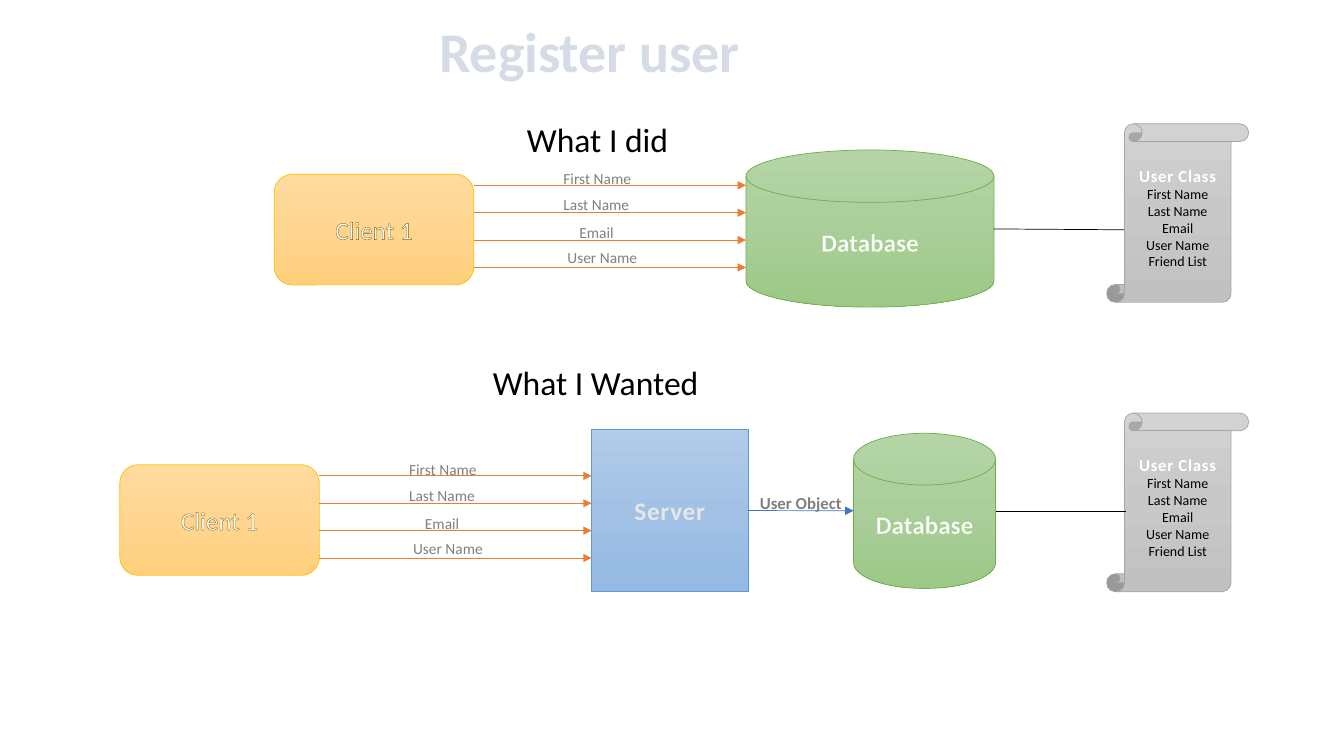
from copy import deepcopy
from dataclasses import dataclass

from lxml import etree
from pptx import Presentation
from pptx.dml.color import RGBColor
from pptx.enum.dml import MSO_THEME_COLOR
from pptx.enum.shapes import MSO_CONNECTOR, MSO_SHAPE
from pptx.enum.text import MSO_ANCHOR, MSO_AUTO_SIZE, PP_ALIGN
from pptx.oxml import parse_xml
from pptx.oxml.ns import nsdecls, qn
from pptx.util import Cm, Pt

STRAIGHT = MSO_CONNECTOR.STRAIGHT
ROUNDED = MSO_SHAPE.ROUNDED_RECTANGLE
RECTANGLE = MSO_SHAPE.RECTANGLE
DISK = MSO_SHAPE.FLOWCHART_MAGNETIC_DISK
SCROLL = MSO_SHAPE.VERTICAL_SCROLL
WHITE_THEME = MSO_THEME_COLOR.BACKGROUND_1
MIDDLE = MSO_ANCHOR.MIDDLE
CENTER = PP_ALIGN.CENTER
GROW = MSO_AUTO_SIZE.SHAPE_TO_FIT_TEXT

FONT = "Calibri"
COLORS = {
    "white": "FFFFFF", "black": "000000", "grey": "808080", "light": "E7E6E6",
    "orange": "ED7D31", "blue": "4472C4",
    "client_text": "806000", "database_text": "A9D18E",
    "title_front": "44546A", "title_back": "D6DCE5", "title_edge": "333F50",
}


@dataclass(frozen=True)
class Look:
    """Preset shape, gradient from top to bottom, and edge colour."""
    preset: MSO_SHAPE
    gradient: tuple[str, str, str]
    edge: str


@dataclass(frozen=True)
class Area:
    left: float
    top: float
    width: float
    height: float


@dataclass(frozen=True)
class Style:
    size: float
    color: str
    bold: bool = False
    spacing: float = 0


@dataclass(frozen=True)
class Field:
    """Label of one arrow, placed from the client's top left corner."""
    text: str
    area: Area


CLIENT = Look(ROUNDED, ("FFDB9E", "FFD590", "FFD07C"), "FFC000")
DATABASE = Look(DISK, ("B5D5A7", "AACE9A", "9CC987"), "70AD47")
SERVER = Look(RECTANGLE, ("B1CBE9", "A3C1E5", "93B9E4"), "5B9BD5")
USER_CLASS = Look(SCROLL, ("D2D2D2", "C8C8C8", "C0C0C0"), "A5A5A5")

HEADING = Style(24, "black")
LABEL = Style(11, "grey")
NAME = Style(18, "white")
NAME_BOLD = Style(18, "white", True)
CLASS_NAME = Style(12, "white", True, 0.5)
CLASS_FIELD = Style(10, "black")

FIELDS = (
    Field("First Name", Area(7.04, -0.25, 2.24, 0.74)),
    Field("Last Name", Area(7.04, 0.41, 2.18, 0.74)),
    Field("Email", Area(7.44, 1.12, 1.37, 0.74)),
    Field("User Name", Area(7.14, 1.75, 2.29, 0.74)),
)
CLIENT_WIDTH, CLIENT_HEIGHT = 5.03, 2.79
ARROW_LENGTH, ARROW_OFFSET, ARROW_STEP = 6.86, 0.28, 0.69


def rgb(name: str) -> RGBColor:
    return RGBColor.from_string(COLORS[name])


def write(para, text: str, style: Style) -> None:
    para.add_run().text = text
    font = para.font
    font.name, font.size, font.bold = FONT, Pt(style.size), style.bold
    font.color.rgb = rgb(style.color)
    if style.spacing:
        font_element(para).set("spc", str(int(style.spacing * 100)))


def font_element(para):
    return para._p.get_or_add_pPr().find(qn("a:defRPr"))


def outline_text(para, color: str, width: float) -> None:
    font_element(para).insert(0, parse_xml(
        f'<a:ln {nsdecls("a")} w="{Pt(width)}"><a:solidFill>'
        f'<a:srgbClr val="{COLORS[color]}"/></a:solidFill></a:ln>'))


def add_text(page, area: Area, text: str, style: Style, wrap: bool = False):
    box = page.shapes.add_textbox(
        Cm(area.left), Cm(area.top), Cm(area.width), Cm(area.height))
    box.text_frame.word_wrap = wrap
    box.text_frame.auto_size = GROW
    write(box.text_frame.paragraphs[0], text, style)
    return box


def add_block(page, look: Look, area: Area, lines: list[tuple[str, Style]]):
    block = page.shapes.add_shape(
        look.preset, Cm(area.left), Cm(area.top), Cm(area.width), Cm(area.height))
    block.shadow.inherit = False
    block.line.color.rgb = RGBColor.from_string(look.edge)
    block.line.width = Pt(0.5)
    block.fill.gradient()
    block.fill.gradient_angle = 270
    stops = block._element.spPr.find(qn("a:gradFill")).find(qn("a:gsLst"))
    stops.insert(1, deepcopy(stops[0]))
    for index, (stop, color) in enumerate(zip(block.fill.gradient_stops, look.gradient)):
        stop.position = index / 2
        stop.color.rgb = RGBColor.from_string(color)
    frame = block.text_frame
    frame.word_wrap, frame.vertical_anchor = True, MIDDLE
    for index, (text, style) in enumerate(lines):
        para = frame.add_paragraph() if index else frame.paragraphs[0]
        para.alignment = CENTER
        write(para, text, style)
    return block


def add_line(page, start: tuple[float, float], end: tuple[float, float],
             color: str, arrow: bool = False):
    line = page.shapes.add_connector(
        STRAIGHT, Cm(start[0]), Cm(start[1]), Cm(end[0]), Cm(end[1]))
    line.line.color.rgb = rgb(color)
    line.line.width = Pt(0.5)
    if arrow:
        etree.SubElement(line.line._get_or_add_ln(), qn("a:tailEnd"), type="triangle")
    etree.SubElement(line._element.spPr, qn("a:effectLst"))
    return line


def add_client(page, left: float, top: float) -> None:
    """Client with one labelled arrow for each field it sends."""
    client = add_block(page, CLIENT, Area(left, top, CLIENT_WIDTH, CLIENT_HEIGHT),
                       [("Client 1", NAME)])
    para = client.text_frame.paragraphs[0]
    para.font.color.theme_color = WHITE_THEME
    outline_text(para, "client_text", 0.75)
    start = left + CLIENT_WIDTH
    for index, field in enumerate(FIELDS):
        y = top + ARROW_OFFSET + index * ARROW_STEP
        add_line(page, (start, y), (start + ARROW_LENGTH, y), "orange", True)
        place = field.area
        add_text(page, Area(left + place.left, top + place.top, place.width, place.height),
                 field.text, LABEL)


def add_database(page, area: Area) -> None:
    database = add_block(page, DATABASE, area, [("Database", NAME_BOLD)])
    outline_text(database.text_frame.paragraphs[0], "database_text", 0.8)


def add_user_class(page, top: float) -> None:
    names = [field.text for field in FIELDS] + ["Friend List"]
    add_block(page, USER_CLASS, Area(27.89, top, 3.58, 4.5),
              [("User Class", CLASS_NAME)] + [(name, CLASS_FIELD) for name in names])


def add_title(page) -> None:
    box = add_text(page, Area(10.82, 0.3, 8.48, 1.96), "Register user",
                   Style(40, "title_back", True), wrap=True)
    para = box.text_frame.paragraphs[0]
    font = font_element(para)
    font.replace(font.find(qn("a:solidFill")), parse_xml(
        f'<a:pattFill {nsdecls("a")} prst="dkUpDiag">'
        f'<a:fgClr><a:srgbClr val="{COLORS["title_front"]}"/></a:fgClr>'
        f'<a:bgClr><a:srgbClr val="{COLORS["title_back"]}"/></a:bgClr></a:pattFill>'))
    outline_text(para, "title_edge", 1)


def main() -> None:
    deck = Presentation()
    deck.slide_width, deck.slide_height = Cm(33.87), Cm(19.05)
    page = deck.slides.add_slide(deck.slide_layouts[6])
    add_title(page)

    # Client writes straight to the database
    add_text(page, Area(13.03, 2.87, 4.11, 1.27), "What I did", HEADING)
    add_database(page, Area(18.8, 3.78, 6.25, 3.96))
    add_client(page, 6.91, 4.39)
    add_user_class(page, 3.12)
    add_line(page, (25.04, 5.77), (28.32, 5.79), "black")

    # Server stands between client and database
    add_text(page, Area(12.17, 8.99, 5.74, 1.27), "What I Wanted", HEADING)
    add_database(page, Area(21.51, 10.92, 3.58, 3.91))
    add_client(page, 3.02, 11.71)
    add_user_class(page, 10.41)
    add_line(page, (25.1, 12.88), (28.37, 12.88), "black")
    server = add_block(page, SERVER, Area(14.91, 10.82, 3.94, 4.09),
                       [("Server", Style(18, "light", True, 0.5))])
    user_object = add_line(page, (18.85, 12.87), (21.51, 12.87), "blue", True)
    user_object.begin_connect(server, 3)
    add_text(page, Area(18.9, 12.29, 2.59, 0.76), "User Object", Style(12, "grey", True))

    deck.save("out.pptx")


if __name__ == "__main__":
    main()
